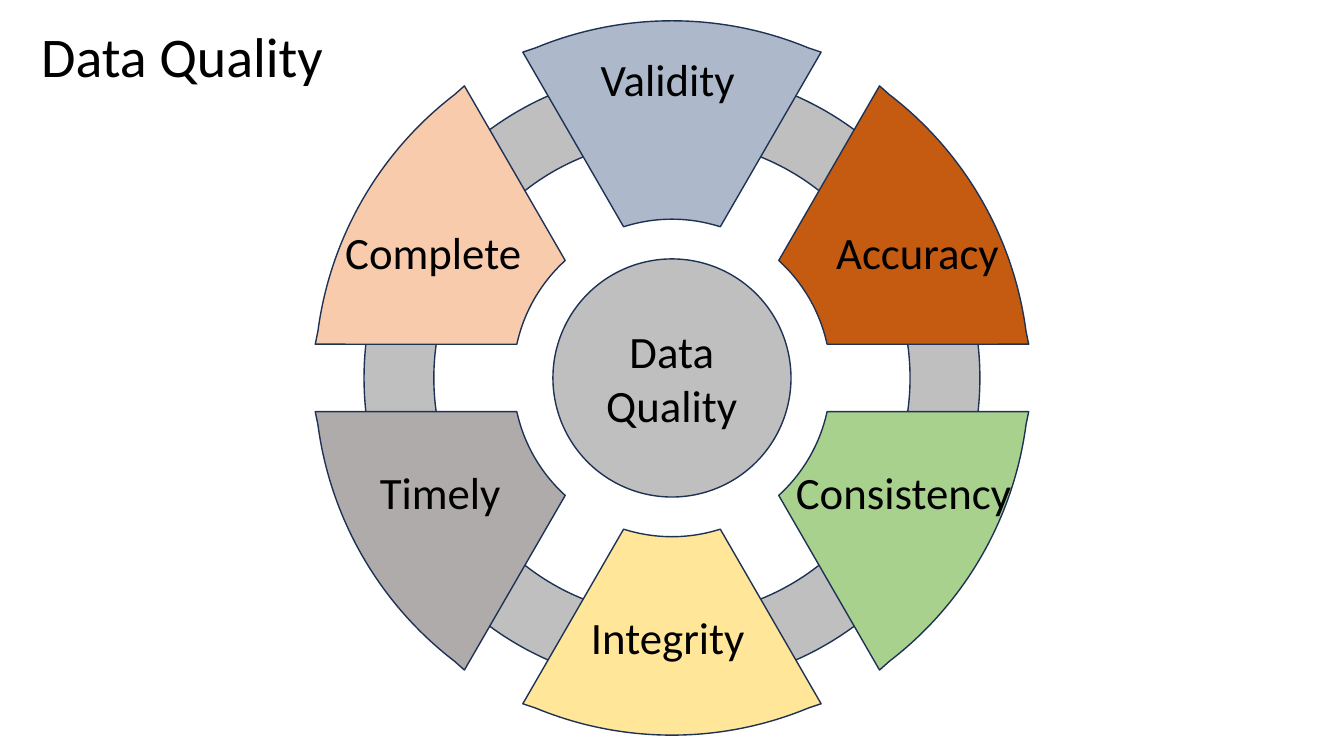
from math import asin, cos, pi, radians, sin, tan

from pptx import Presentation
from pptx.dml.color import RGBColor
from pptx.enum.shapes import MSO_SHAPE
from pptx.enum.text import PP_ALIGN
from pptx.oxml.ns import qn
from pptx.oxml.xmlchemy import OxmlElement
from pptx.util import Cm, Pt

ELLIPSE = MSO_SHAPE.OVAL
LEFT = PP_ALIGN.LEFT
CENTER = PP_ALIGN.CENTER

FONT = "Calibri"
BLACK = "000000"
GRAY = "BFBFBF"
OUTLINE = "1E3256"

SLIDE_WIDTH, SLIDE_HEIGHT = 33.87, 19.05
CENTER_X, CENTER_Y = SLIDE_WIDTH / 2, SLIDE_HEIGHT / 2
HUB_RADIUS = 3
RING_INNER, RING_OUTER = 6, 7.76
SEGMENT_INNER, SEGMENT_OUTER, SEGMENT_CORNER = 4, 9, 9.03
OUTER_HALF_SWEEP = radians(22.5)
HALF_GAP = 0.85
LABEL_HEIGHT = 1.62

SEGMENTS = [
    ("Validity", "ADB9CA", 14.76, 1.17, 4.14),
    ("Accuracy", "C55A11", 20.75, 5.54, 4.75),
    ("Consistency", "A9D18E", 19.79, 11.58, 5.97),
    ("Integrity", "FFE699", 14.53, 15.24, 4.6),
    ("Timely", "AFABAB", 9.14, 11.58, 3.91),
    ("Complete", "F8CBAD", 8.23, 5.54, 5.38),
]


def color(hex_string):
    return RGBColor.from_string(hex_string)


def style_shape(shape, fill):
    shape.shadow.inherit = False
    shape.fill.solid()
    shape.fill.fore_color.rgb = color(fill)
    shape.line.color.rgb = color(OUTLINE)
    shape.line.width = Pt(1)


def add_text(shapes, lines, left, top, width, height, size=32, alignment=CENTER):
    box = shapes.add_textbox(Cm(left), Cm(top), Cm(width), Cm(height))
    frame = box.text_frame
    frame.word_wrap = False
    for index, line in enumerate(lines):
        paragraph = frame.add_paragraph() if index else frame.paragraphs[0]
        paragraph.alignment = alignment
        run = paragraph.add_run()
        run.text = line
        run.font.name = FONT
        run.font.size = Pt(size)
        run.font.color.rgb = color(BLACK)


def position(radius, angle):
    return Cm(CENTER_X + radius * sin(angle)), Cm(CENTER_Y - radius * cos(angle))


def bend_line(line, shape, radius, start, end):
    bend = 4 / 3 * tan((end - start) / 4)
    reach = radius * (1 + bend**2) ** 0.5
    turn = pi / 2 if bend > 0 else -pi / 2
    lean = asin(abs(bend) / (1 + bend**2) ** 0.5) * turn / (pi / 2)
    line.tag = qn("a:cubicBezTo")
    for index, angle in enumerate((start + lean, end - lean)):
        x, y = position(reach, angle)
        control = OxmlElement("a:pt")
        control.set("x", str(x - shape.left))
        control.set("y", str(y - shape.top))
        line.insert(index, control)


def add_outline(shapes, contours, fill):
    builder = shapes.build_freeform(*position(*contours[0][0]))
    edges = []
    for index, knots in enumerate(contours):
        if index:
            builder.move_to(*position(*knots[0]))
        builder.add_line_segments([position(*knot) for knot in knots[1:]], close=True)
        edges += zip(knots, knots[1:])
    shape = builder.convert_to_shape()
    lines = list(shape.element.iter(qn("a:lnTo")))
    for line, ((radius, start), (end_radius, end)) in zip(lines, edges):
        if radius == end_radius:
            bend_line(line, shape, radius, start, end)
    style_shape(shape, fill)


def add_ring(shapes):
    inner = [(RING_INNER, -quarter * pi / 2) for quarter in range(5)]
    outer = [(RING_OUTER, quarter * pi / 2) for quarter in range(5)]
    add_outline(shapes, [inner, outer], GRAY)


def add_segment(shapes, middle, fill):
    corner, inner = [
        pi / len(SEGMENTS) - asin(HALF_GAP / radius)
        for radius in (SEGMENT_CORNER, SEGMENT_INNER)
    ]
    knots = [
        (SEGMENT_CORNER, middle - corner),
        (SEGMENT_OUTER, middle - OUTER_HALF_SWEEP),
        (SEGMENT_OUTER, middle),
        (SEGMENT_OUTER, middle + OUTER_HALF_SWEEP),
        (SEGMENT_CORNER, middle + corner),
        (SEGMENT_INNER, middle + inner),
        (SEGMENT_INNER, middle),
        (SEGMENT_INNER, middle - inner),
    ]
    add_outline(shapes, [knots], fill)


def add_hub(shapes):
    hub = shapes.add_shape(
        ELLIPSE,
        Cm(CENTER_X - HUB_RADIUS),
        Cm(CENTER_Y - HUB_RADIUS),
        Cm(2 * HUB_RADIUS),
        Cm(2 * HUB_RADIUS),
    )
    style_shape(hub, GRAY)
    add_text(shapes, ["Data", "Quality"], 14.86, 8.03, 4.14, 3)


def main():
    presentation = Presentation()
    presentation.slide_width = Cm(SLIDE_WIDTH)
    presentation.slide_height = Cm(SLIDE_HEIGHT)
    slide = presentation.slides.add_slide(presentation.slide_layouts[6])

    add_ring(slide.shapes)
    add_hub(slide.shapes.add_group_shape().shapes)
    for index, (label, fill, left, top, width) in enumerate(SEGMENTS):
        group = slide.shapes.add_group_shape()
        add_segment(group.shapes, index * 2 * pi / len(SEGMENTS), fill)
        add_text(group.shapes, [label], left, top, width, LABEL_HEIGHT)

    add_text(slide.shapes, ["Data Quality"], 0.79, 0.41, 7.75, 1.96, 40, LEFT)
    presentation.save("out.pptx")


if __name__ == "__main__":
    main()
